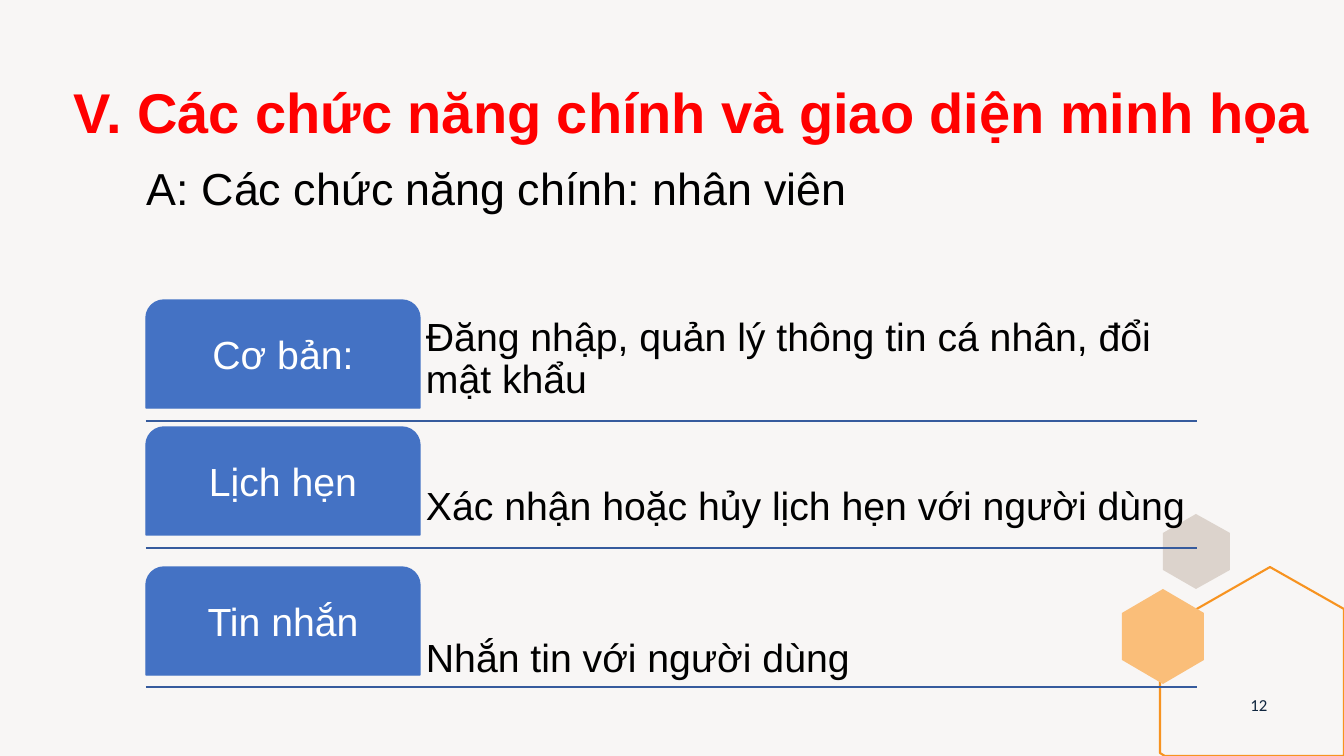
"""Build the slide listing the main staff functions of the application."""
from dataclasses import dataclass

from lxml import etree
from pptx import Presentation
from pptx.dml.color import RGBColor
from pptx.enum.shapes import MSO_CONNECTOR, MSO_SHAPE
from pptx.enum.text import MSO_ANCHOR, PP_ALIGN
from pptx.oxml.ns import qn
from pptx.util import Pt

PIXEL = 914400 / 100.8
TAB_SHAPE = MSO_SHAPE.ROUND_2_SAME_RECTANGLE
STRAIGHT = MSO_CONNECTOR.STRAIGHT
TOP, MIDDLE, BOTTOM = MSO_ANCHOR.TOP, MSO_ANCHOR.MIDDLE, MSO_ANCHOR.BOTTOM
LEFT, CENTER = PP_ALIGN.LEFT, PP_ALIGN.CENTER


@dataclass(frozen=True)
class Theme:
    background: str = "F8F6F5"
    sand: str = "DCD3CC"
    peach: str = "FABE79"
    orange: str = "F79320"
    red: str = "FF0000"
    black: str = "000000"
    white: str = "FFFFFF"
    navy: str = "0F253E"
    blue: str = "4472C4"
    rule: str = "365B9D"
    font: str = "Arial"
    number_font: str = "Calibri"
    title_size: int = 40
    subtitle_size: int = 32
    body_size: int = 28
    number_size: int = 12


theme = Theme()


def px(*values):
    return [round(value * PIXEL) for value in values]


def write(shape, text, size, color, align=LEFT, anchor=TOP, inset=(10, 5),
          spacing=1.0, font=theme.font, bold=False):
    frame = shape.text_frame
    frame.word_wrap = True
    frame.vertical_anchor = anchor
    frame.margin_left = frame.margin_right = px(inset[0])[0]
    frame.margin_top = frame.margin_bottom = px(inset[1])[0]
    paragraph = frame.paragraphs[0]
    paragraph.alignment = align
    paragraph.line_spacing = spacing
    run = paragraph.add_run()
    run.text = text
    run.font.size = Pt(size)
    run.font.name = font
    run.font.bold = bold
    run.font.color.rgb = RGBColor.from_string(color)


presentation = Presentation()
presentation.slide_width, presentation.slide_height = px(1344, 756)
slide = presentation.slides.add_slide(presentation.slide_layouts[6])
shapes = slide.shapes
slide.background.fill.solid()
slide.background.fill.fore_color.rgb = RGBColor.from_string(theme.background)

hexagons = [
    ([(1196, 514), (1230, 533), (1230, 570), (1196, 589), (1163, 570), (1163, 533)],
     theme.sand, None),
    ([(1270, 567), (1344, 609), (1344, 756), (1165, 756), (1160, 753), (1160, 630)],
     None, theme.orange),
    ([(1163, 589), (1204, 613), (1204, 660), (1163, 684), (1122, 660), (1122, 613)],
     theme.peach, None),
]
for points, fill, line in hexagons:
    builder = shapes.build_freeform(*points[0], scale=PIXEL)
    builder.add_line_segments(points[1:], close=True)
    hexagon = builder.convert_to_shape()
    hexagon.shadow.inherit = False
    if fill:
        hexagon.fill.solid()
        hexagon.fill.fore_color.rgb = RGBColor.from_string(fill)
    else:
        hexagon.fill.background()
    if line:
        hexagon.line.color.rgb = RGBColor.from_string(line)
        hexagon.line.width = Pt(1.5)
    else:
        hexagon.line.fill.background()

title = shapes.add_textbox(*px(64, 80, 1280, 156))
write(title, "V. Các chức năng chính và giao diện minh họa", theme.title_size,
      theme.red, spacing=0.9, bold=True)
number = shapes.add_textbox(*px(1234, 685, 50, 40))
write(number, "12", theme.number_size, theme.navy, CENTER, MIDDLE,
      font=theme.number_font)
subtitle = shapes.add_textbox(*px(137, 156, 1195, 65))
write(subtitle, "A: Các chức năng chính: nhân viên", theme.subtitle_size, theme.black)

functions = [
    ("Cơ bản:", "Đăng nhập, quản lý thông tin cá nhân, đổi mật khẩu", 300, 408, 421),
    ("Lịch hẹn", "Xác nhận hoặc hủy lịch hẹn với người dùng", 427, 535, 548),
    ("Tin nhắn", "Nhắn tin với người dùng", 567, 687, 687),
]
for label, detail, tab_top, detail_bottom, rule_y in functions:
    rule = shapes.add_connector(STRAIGHT, *px(146, rule_y, 1197, rule_y))
    rule.line.color.rgb = RGBColor.from_string(theme.rule)
    rule.line.width = Pt(1)
    etree.SubElement(rule._element.spPr, qn("a:effectLst"))

    description = shapes.add_textbox(*px(420, tab_top, 777, detail_bottom - tab_top))
    write(description, detail, theme.body_size, theme.black, LEFT, BOTTOM, (6, 6), 0.9)

    tab = shapes.add_shape(TAB_SHAPE, *px(146, tab_top, 274, 108))
    tab.shadow.inherit = False
    tab.fill.solid()
    tab.fill.fore_color.rgb = RGBColor.from_string(theme.blue)
    tab.line.color.rgb = RGBColor.from_string(theme.blue)
    tab.line.width = Pt(1)
    write(tab, label, theme.body_size, theme.white, CENTER, MIDDLE, (6, 6), 0.9)

presentation.save("out.pptx")
